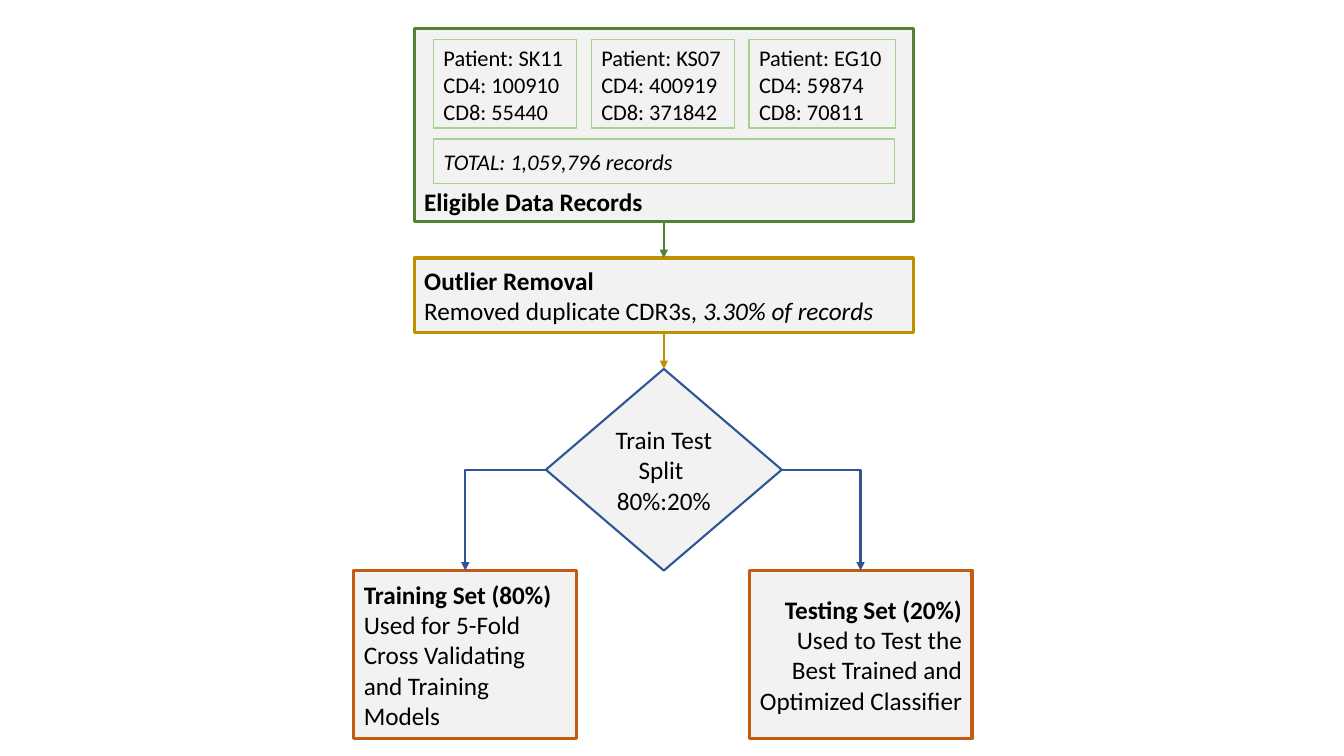
import pptx
import pptx.util
import pptx.dml.color
import pptx.enum.shapes
import pptx.enum.text
import pptx.oxml.ns
import lxml.etree

SHAPE = pptx.enum.shapes.MSO_SHAPE
CONNECTOR = pptx.enum.shapes.MSO_CONNECTOR
ANCHOR = pptx.enum.text.MSO_ANCHOR
ALIGN = pptx.enum.text.PP_ALIGN
TOP, LEFT, BOTTOM, RIGHT = range(4)

WIDTH = pptx.util.Inches(13.33)
HEIGHT = pptx.util.Inches(7.5)
GREEN, LIGHT_GREEN, GOLD = "548235", "A9D18E", "BF9000"
BLUE, ORANGE, GREY, BLACK = "2F5597", "C55A11", "F2F2F2", "000000"

PATIENTS = [
    ("SK11", 100910, 55440, 10.65),
    ("KS07", 400919, 371842, 10.65),
    ("EG10", 59874, 70811, 10.88),
]


def rgb(code):
    return pptx.dml.color.RGBColor.from_string(code)


def across(percent):
    return round(WIDTH * percent / 100)


def down(percent):
    return round(HEIGHT * percent / 100)


def write(tf, paragraphs, size, align):
    tf.word_wrap = True
    for i, pieces in enumerate(paragraphs):
        p = tf.paragraphs[0] if i == 0 else tf.add_paragraph()
        p.alignment = align
        for text, style in pieces:
            r = p.add_run()
            r.text = text
            r.font.name = "Calibri"
            r.font.size = pptx.util.Pt(size)
            r.font.color.rgb = rgb(BLACK)
            r.font.bold = style == "bold"
            r.font.italic = style == "italic"


def add_box(s, x, y, w, h, color, paragraphs, fill=GREY, weight=2.25, size=18,
            anchor=ANCHOR.MIDDLE, align=ALIGN.LEFT, kind=SHAPE.RECTANGLE):
    sp = s.shapes.add_shape(kind, across(x), down(y), across(w), down(h))
    sp.shadow.inherit = False
    if fill:
        sp.fill.solid()
        sp.fill.fore_color.rgb = rgb(fill)
    else:
        sp.fill.background()
    sp.line.color.rgb = rgb(color)
    sp.line.width = pptx.util.Pt(weight)
    sp.text_frame.vertical_anchor = anchor
    write(sp.text_frame, paragraphs, size, align)
    return sp


def add_arrow(s, start, start_site, end, color, bent=False):
    kind = CONNECTOR.ELBOW if bent else CONNECTOR.STRAIGHT
    c = s.shapes.add_connector(kind, 0, 0, 0, 0)
    c.begin_connect(start, start_site)
    c.end_connect(end, TOP)
    c.line.color.rgb = rgb(color)
    c.line.width = pptx.util.Pt(1.5)
    qn = pptx.oxml.ns.qn
    props = c._element.spPr
    if bent:
        props.find(qn("a:prstGeom")).set("prst", "bentConnector2")
    lxml.etree.SubElement(props.find(qn("a:ln")), qn("a:tailEnd"), type="triangle")
    lxml.etree.SubElement(props, qn("a:effectLst"))


def add_records(s):
    records = add_box(s, 30.83, 3.73, 37.13, 25.6, GREEN,
                      [[("Eligible Data Records", "bold")]], anchor=ANCHOR.BOTTOM)
    for i, (name, cd4, cd8, width) in enumerate(PATIENTS):
        lines = [f"Patient: {name}", f"CD4: {cd4}", f"CD8: {cd8}"]
        add_box(s, 32.26 + 11.74 * i, 5.2, width, 11.73, LIGHT_GREEN,
                [[(line, "")] for line in lines],
                fill=None, weight=1, size=16, anchor=ANCHOR.TOP)
    add_box(s, 32.26, 18.4, 34.28, 5.87, LIGHT_GREEN,
            [[("TOTAL: 1,059,796 records", "italic")]],
            fill=None, weight=1, size=16)
    return records


def add_set(s, x, title, use, align):
    return add_box(s, x, 75.47, 16.58, 22.27, ORANGE,
                   [[(title, "bold")], [(use, "")]], align=align)


def main():
    prs = pptx.Presentation()
    prs.slide_width, prs.slide_height = WIDTH, HEIGHT
    s = prs.slides.add_slide(prs.slide_layouts[6])

    records = add_records(s)
    outliers = add_box(s, 30.83, 34.13, 37.13, 9.87, GOLD, [
        [("Outlier Removal", "bold")],
        [("Removed duplicate CDR3s, ", ""), ("3.30% of records", "italic")],
    ])
    split = add_box(s, 40.62, 48.8, 17.55, 26.67, BLUE,
                    [[("Train Test Split ", "")], [("80%:20%", "")]],
                    weight=1.5, align=ALIGN.CENTER, kind=SHAPE.DIAMOND)
    training = add_set(s, 26.33, "Training Set (80%)",
                       "Used for 5-Fold Cross Validating and Training Models",
                       ALIGN.LEFT)
    testing = add_set(s, 55.74, "Testing Set (20%)",
                      "Used to Test the Best Trained and Optimized Classifier ",
                      ALIGN.RIGHT)

    add_arrow(s, records, BOTTOM, outliers, GREEN)
    add_arrow(s, outliers, BOTTOM, split, GOLD)
    add_arrow(s, split, LEFT, training, BLUE, bent=True)
    add_arrow(s, split, RIGHT, testing, BLUE, bent=True)
    prs.save("out.pptx")


if __name__ == "__main__":
    main()
